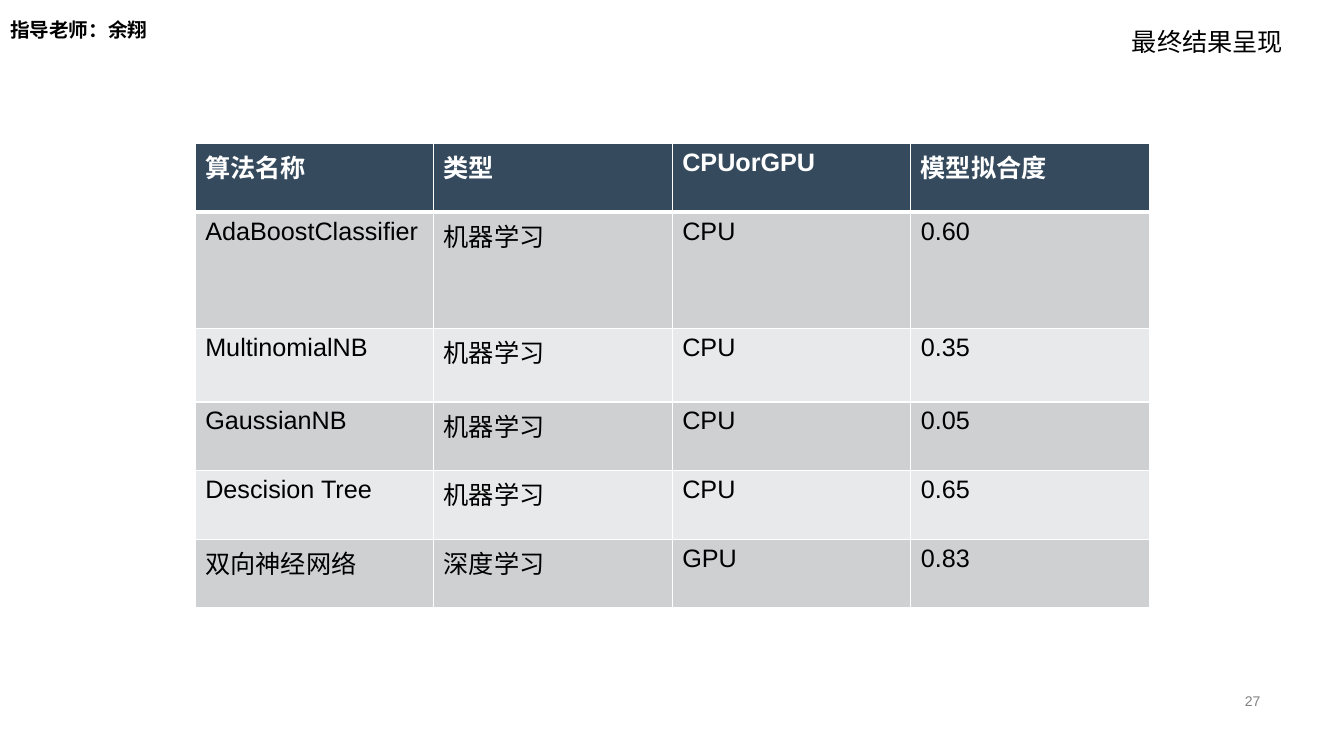
from dataclasses import dataclass

from lxml.etree import SubElement
from pptx import Presentation
from pptx.dml.color import RGBColor as Rgb
from pptx.enum.text import MSO_ANCHOR as Anchor, MSO_AUTO_SIZE as AutoSize, PP_ALIGN as Align
from pptx.oxml.ns import qn
from pptx.util import Cm, Pt


@dataclass(frozen=True)
class Theme:
    font: str = "Arial"
    black: str = "000000"
    white: str = "FFFFFF"
    grey: str = "808080"
    header: str = "354A5D"
    bands: tuple = ("CED0D2", "E8E9EA")
    body_size: int = 18
    title_size: int = 14
    number_size: int = 10
    thin: int = 1
    thick: int = 3


theme = Theme()


def write(frame, text, size, color, bold=False, align=Align.LEFT, spacing=1.0):
    para = frame.paragraphs[0]
    para.alignment, para.line_spacing = align, spacing
    span = para.add_run()
    span.text = text
    looks = {"name": theme.font, "size": Pt(size), "bold": bold}
    for name, value in looks.items():
        setattr(span.font, name, value)
    span.font.color.rgb = Rgb.from_string(color)


def add_borders(cell, top, bottom):
    properties = cell._tc.get_or_add_tcPr()
    widths = {"lnL": theme.thin, "lnR": theme.thin, "lnT": top, "lnB": bottom}
    for tag, width in widths.items():
        line = SubElement(properties, qn(f"a:{tag}"), w=str(Pt(width)))
        fill = SubElement(line, qn("a:solidFill"))
        SubElement(fill, qn("a:srgbClr"), val=theme.white)


deck = Presentation()
deck.slide_width, deck.slide_height = Cm(33.87), Cm(19.05)
page = deck.slides.add_slide(deck.slide_layouts[5])

# Teacher line in the title placeholder
title = page.shapes.title
place = {"left": Cm(0), "top": Cm(0.15), "width": Cm(30.15), "height": Cm(1.02)}
for name, value in place.items():
    setattr(title, name, value)
title_format = {"word_wrap": True, "auto_size": AutoSize.NONE, "vertical_anchor": Anchor.BOTTOM}
for name, value in title_format.items():
    setattr(title.text_frame, name, value)
write(title.text_frame, "指导老师：余翔", theme.title_size, theme.black, bold=True, spacing=0.9)

# Results table
results = [
    ("算法名称", "类型", "CPUorGPU", "模型拟合度"),
    ("AdaBoostClassifier", "机器学习", "CPU", "0.60"),
    ("MultinomialNB", "机器学习", "CPU", "0.35"),
    ("GaussianNB", "机器学习", "CPU", "0.05"),
    ("Descision Tree", "机器学习", "CPU", "0.65"),
    ("双向神经网络", "深度学习", "GPU", "0.83"),
]
row_heights = [1.73, 2.92, 1.86, 1.73, 1.73, 1.73]
column_width = 6.01
columns = len(results[0])
table = page.shapes.add_table(
    len(results), columns, Cm(4.92), Cm(3.62),
    Cm(column_width * columns), Cm(sum(row_heights)),
).table
for column in table.columns:
    column.width = Cm(column_width)
for r, (texts, height) in enumerate(zip(results, row_heights)):
    table.rows[r].height = Cm(height)
    is_header = r == 0
    fill_color = theme.header if is_header else theme.bands[(r - 1) % 2]
    text_color = theme.white if is_header else theme.black
    top = theme.thick if r == 1 else theme.thin
    bottom = theme.thick if is_header else theme.thin
    for c, text in enumerate(texts):
        cell = table.cell(r, c)
        add_borders(cell, top, bottom)
        cell.fill.solid()
        cell.fill.fore_color.rgb = Rgb.from_string(fill_color)
        write(cell.text_frame, text, theme.body_size, text_color, bold=is_header)

# Section heading at the top right
heading = page.shapes.add_textbox(Cm(28.27), Cm(0.15), Cm(4.32), Cm(1.4)).text_frame
heading.word_wrap, heading.auto_size = False, AutoSize.SHAPE_TO_FIT_TEXT
write(heading, "最终结果呈现", theme.body_size, theme.black, align=Align.CENTER, spacing=1.5)

# Page number
number = page.shapes.add_textbox(Cm(23.93), Cm(17.37), Cm(8.08), Cm(0.58)).text_frame
number.word_wrap, number.vertical_anchor = True, Anchor.MIDDLE
write(number, "27", theme.number_size, theme.grey, align=Align.RIGHT)

deck.save("out.pptx")
